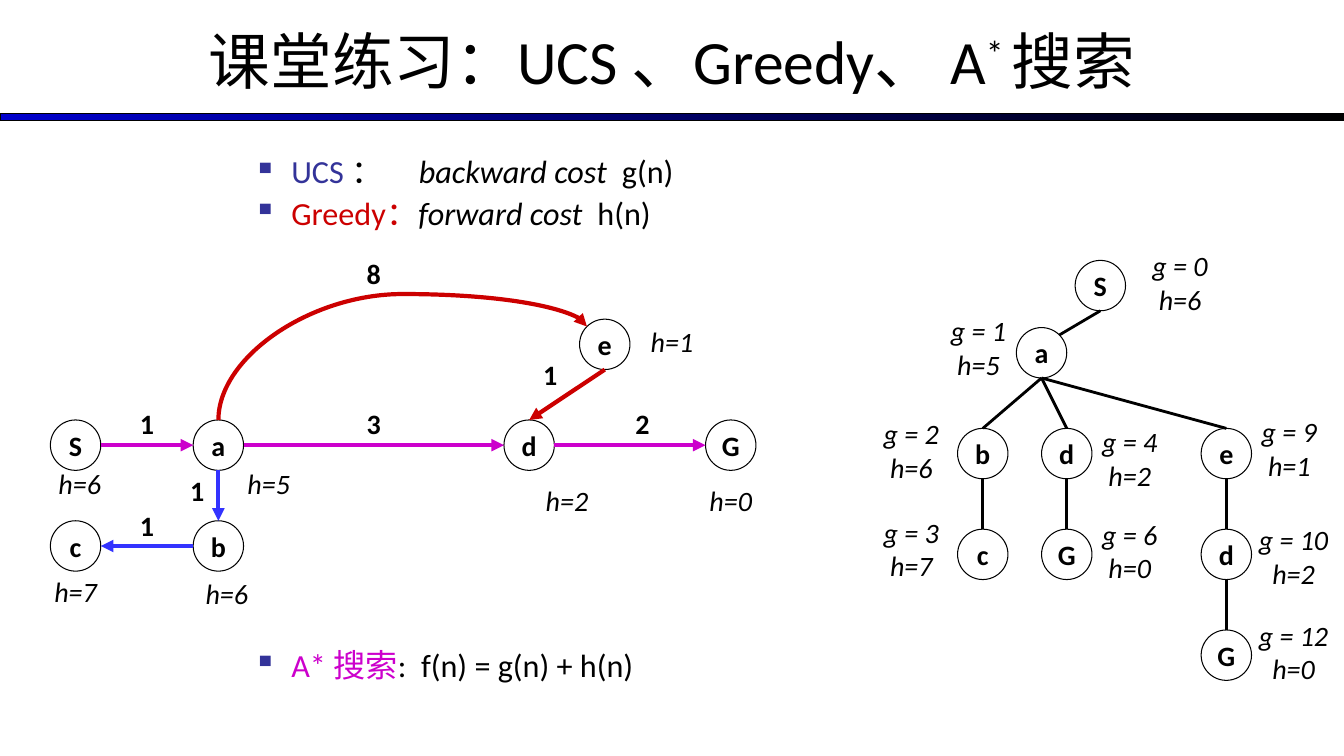
import pptx
import pptx.util
import pptx.dml.color
import pptx.enum.shapes
import pptx.enum.text
import pptx.oxml
import pptx.oxml.ns

PX = 9525
WIDE, HIGH = 1280, 720
NODE = 48
FACE = "Calibri"
BLACK, NAVY, RED, PINK, BLUE = "000000", "333399", "CC0000", "CC00CC", "3333FF"
TOP, LEFT, LOW, RIGHT, NW, NE = (24, 0), (0, 24), (24, 48), (48, 24), (7, 7), (41, 7)
KIND = pptx.enum.shapes.MSO_SHAPE
LINK = pptx.enum.shapes.MSO_CONNECTOR
MID = pptx.enum.text.PP_ALIGN.CENTER


def px(*nums):
    return [pptx.util.Emu(round(n * PX)) for n in nums]


def rgb(code):
    return pptx.dml.color.RGBColor.from_string(code)


def add(node, tag, **attrs):
    child = pptx.oxml.parse_xml(f"<a:{tag} {pptx.oxml.ns.nsdecls('a')}/>")
    for name, value in attrs.items():
        child.set(name, str(value))
    node.append(child)
    return child


def style(para, size, bold=None, italic=None):
    font = para.font
    font.name, font.size = FACE, pptx.util.Pt(size)
    font.bold, font.italic = bold, italic
    font.color.rgb = rgb(BLACK)


def frame(slide, box):
    text = slide.shapes.add_textbox(*px(*box)).text_frame
    text.word_wrap = True
    return text


def label(slide, box, words, bold=None, italic=None):
    para = frame(slide, box).paragraphs[0]
    para.text = words
    para.alignment = MID
    style(para, 20, bold, italic)


def node(slide, x, y, name):
    disc = slide.shapes.add_shape(KIND.OVAL, *px(x, y, NODE, NODE))
    disc.shadow.inherit = False
    disc.fill.solid()
    disc.fill.fore_color.rgb = rgb("FFFFFF")
    disc.line.color.rgb = rgb(BLACK)
    disc.line.width = pptx.util.Pt(0.75)
    text = disc.text_frame
    text.word_wrap = False
    text.vertical_anchor = pptx.enum.text.MSO_ANCHOR.MIDDLE
    para = text.paragraphs[0]
    para.text = name
    para.alignment = MID
    style(para, 20, bold=True)


def link(slide, start, end, color, width, arrow=False, kind=LINK.STRAIGHT):
    line = slide.shapes.add_connector(kind, *px(*start, *end))
    line.line.color.rgb = rgb(color)
    line.line.width = pptx.util.Pt(width)
    if arrow:
        add(line.line._get_or_add_ln(), "tailEnd", type="triangle")
    add(line._element.spPr, "effectLst")
    return line


def arc(slide, start, end, rise, color):
    """Curved arrow that climbs by rise above its start, then drops to its end."""
    (x1, y1), (x2, y2) = start, end
    wide, high = y1 - y2, x2 - x1
    left, top = (x1 + x2 - wide) / 2, (y1 + y2 - high) / 2
    line = link(slide, (left, top), (left + wide, top + high), color, 3, True, LINK.CURVE)
    props = line._element.spPr
    props.find(pptx.oxml.ns.qn("a:xfrm")).set("rot", "16200000")
    guides = props.find(pptx.oxml.ns.qn("a:prstGeom")).get_or_add_avLst()
    add(guides, "gd", name="adj1", fmla=f"val {round(rise / wide * 100000)}")


def title(slide, x, y, w, h):
    text = frame(slide, (x, y, w, h))
    text.vertical_anchor = pptx.enum.text.MSO_ANCHOR.MIDDLE
    para = text.paragraphs[0]
    para.alignment = MID
    style(para, 44)
    for words, lift in (("课堂练习：UCS 、Greedy、 A", 0), ("* ", 30000), ("搜索", 0)):
        run = para.add_run()
        run.text = words
        if lift:
            run._r.get_or_add_rPr().set("baseline", str(lift))
    bar = slide.shapes.add_shape(KIND.RECTANGLE, *px(x, y + 111, w, 7))
    bar.shadow.inherit = False
    bar.fill.gradient()
    bar.fill.gradient_angle = 0
    for stop, color in zip(bar.fill.gradient_stops, ("0000CC", BLACK)):
        stop.color.rgb = rgb(color)
    bar.line.color.rgb = rgb(BLACK)
    bar.line.width = pptx.util.Pt(0.75)


def notes(slide, x, y, w, h):
    """Bulleted rules; a run is words, colour, italic and letter spacing."""
    rows = [
        (4.6, [("UCS ", NAVY, False, 0), ("： ", BLACK, False, 1000),
               ("backward cost", BLACK, True, 0), (" ", BLACK, True, 520),
               ("g(n)", BLACK, False, 0)]),
        (4.6, [("Greedy：", RED, False, 0), ("forward cost", BLACK, True, 0),
               (" ", BLACK, True, 520), ("h(n)", BLACK, False, 0)]),
        (298, [("A* 搜索", PINK, False, 0), (":", BLACK, False, 0),
               (" ", BLACK, False, 520), ("f(n) = g(n) + h(n)", BLACK, False, 0)]),
    ]
    text = frame(slide, (x, y, w, h))
    for i, (gap, runs) in enumerate(rows):
        para = text.add_paragraph() if i else text.paragraphs[0]
        props = para._p.get_or_add_pPr()
        props.set("marL", str(36 * PX))
        props.set("indent", str(-36 * PX))
        add(add(props, "buClr"), "srgbClr", val=NAVY)
        add(props, "buChar", char="▪")
        para.line_spacing = 0.9
        para.space_before = pptx.util.Pt(gap)
        style(para, 23)
        for words, color, italic, space in runs:
            run = para.add_run()
            run.text = words
            run.font.color.rgb = rgb(color)
            run.font.italic = italic
            if space:
                run._r.get_or_add_rPr().set("spc", str(space))


def graph(slide, x, y):
    # name: node place, then place and width of its h label
    spots = {
        "S": (16, 160, "h=6", 0, 200, 88), "a": (152, 160, "h=5", 176, 200, 96),
        "d": (448, 160, "h=2", 472, 216, 72), "G": (640, 160, "h=0", 616, 216, 96),
        "b": (152, 256, "h=6", 144, 304, 80), "c": (16, 256, "h=7", 0, 302, 80),
        "e": (520, 64, "h=1", 568, 64, 80),
    }
    costs = [("1", 80, 142), ("3", 296, 142), ("2", 552, 142), ("1", 80, 240),
             ("1", 128, 206), ("1", 464, 96), ("8", 304, 0)]
    arrows = [("S", RIGHT, "a", LEFT, PINK), ("a", RIGHT, "d", LEFT, PINK),
              ("d", RIGHT, "G", LEFT, PINK), ("e", LOW, "d", TOP, RED),
              ("a", LOW, "b", TOP, BLUE), ("b", LEFT, "c", RIGHT, BLUE)]

    def port(name, side):
        return x + spots[name][0] + side[0], y + spots[name][1] + side[1]

    for name, (left, top, words, lx, ly, wide) in spots.items():
        node(slide, x + left, y + top, name)
        label(slide, (x + lx, y + ly, wide, 41), words, italic=True)
    for words, left, top in costs:
        label(slide, (x + left, y + top, 56 if words != "8" else 40, 41), words, bold=True)
    for a, out, b, into, color in arrows:
        link(slide, port(a, out), port(b, into), color, 3, True)
    arc(slide, port("a", TOP), port("e", NW), 120, RED)


def tree(slide, x, y):
    # name, parent row, node place, g, h, label place
    rows = [
        ("S", None, 200, 16, 0, 6, 256, 0), ("a", 0, 144, 80, 1, 5, 64, 62),
        ("b", 1, 88, 176, 2, 6, 0, 160), ("c", 2, 88, 272, 3, 7, 0, 254),
        ("d", 1, 168, 176, 4, 2, 208, 168), ("G", 4, 168, 272, 6, 0, 208, 256),
        ("e", 1, 320, 176, 9, 1, 360, 158), ("d", 6, 320, 272, 10, 2, 360, 261),
        ("G", 7, 320, 368, 12, 0, 360, 352),
    ]
    for name, up, left, top, g, h, lx, ly in rows:
        node(slide, x + left, y + top, name)
        wide = 96 if g > 9 else 88
        label(slide, (x + lx, y + ly, wide, 74), f"g = {g}\vh={h}", italic=True)
        if up is not None:
            start = x + rows[up][2] + LOW[0], y + rows[up][3] + LOW[1]
            side = NE if up == 0 else TOP
            link(slide, start, (x + left + side[0], y + top + side[1]), BLACK, 2)


def main():
    deck = pptx.Presentation()
    deck.slide_width, deck.slide_height = px(WIDE, HIGH)
    slide = deck.slides.add_slide(deck.slide_layouts[6])
    title(slide, 0, -3, WIDE, 120)
    notes(slide, 232, 144, 864, 528)
    graph(slide, 32, 240)
    tree(slide, 824, 232)
    deck.save("out.pptx")


if __name__ == "__main__":
    main()
